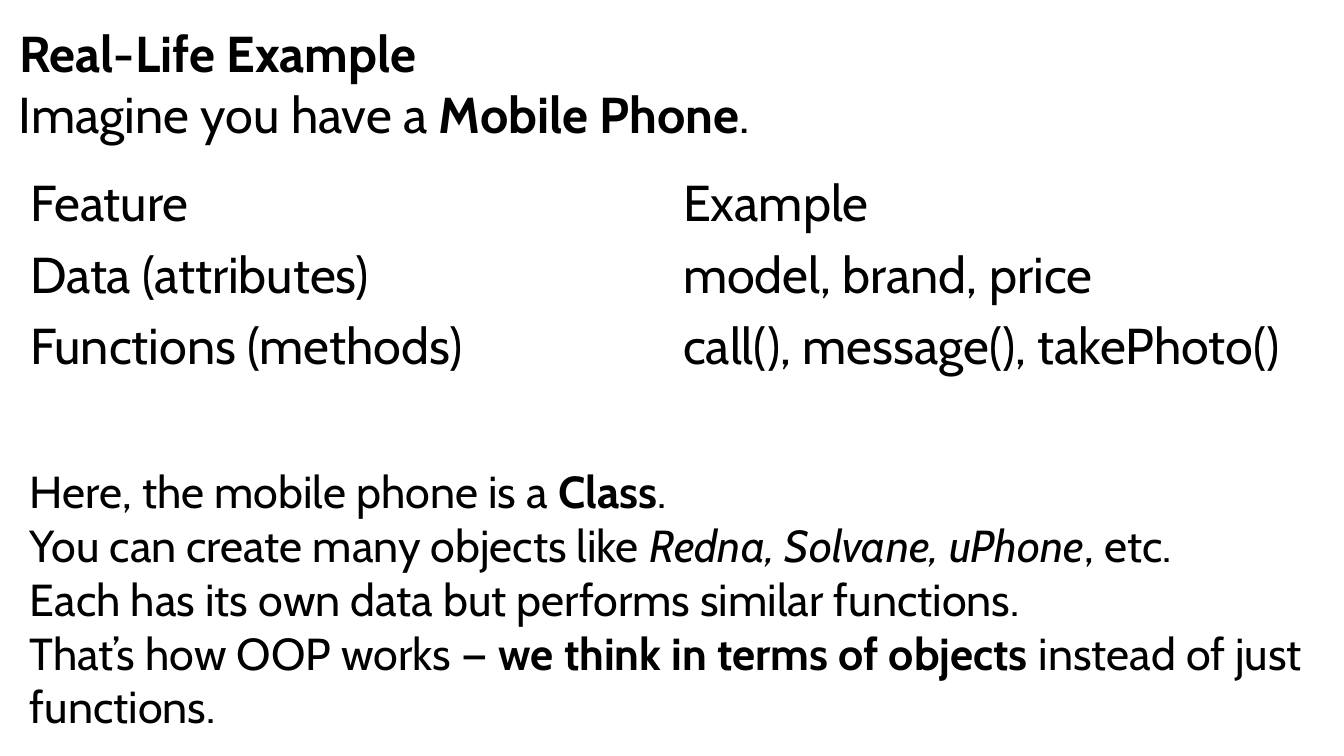
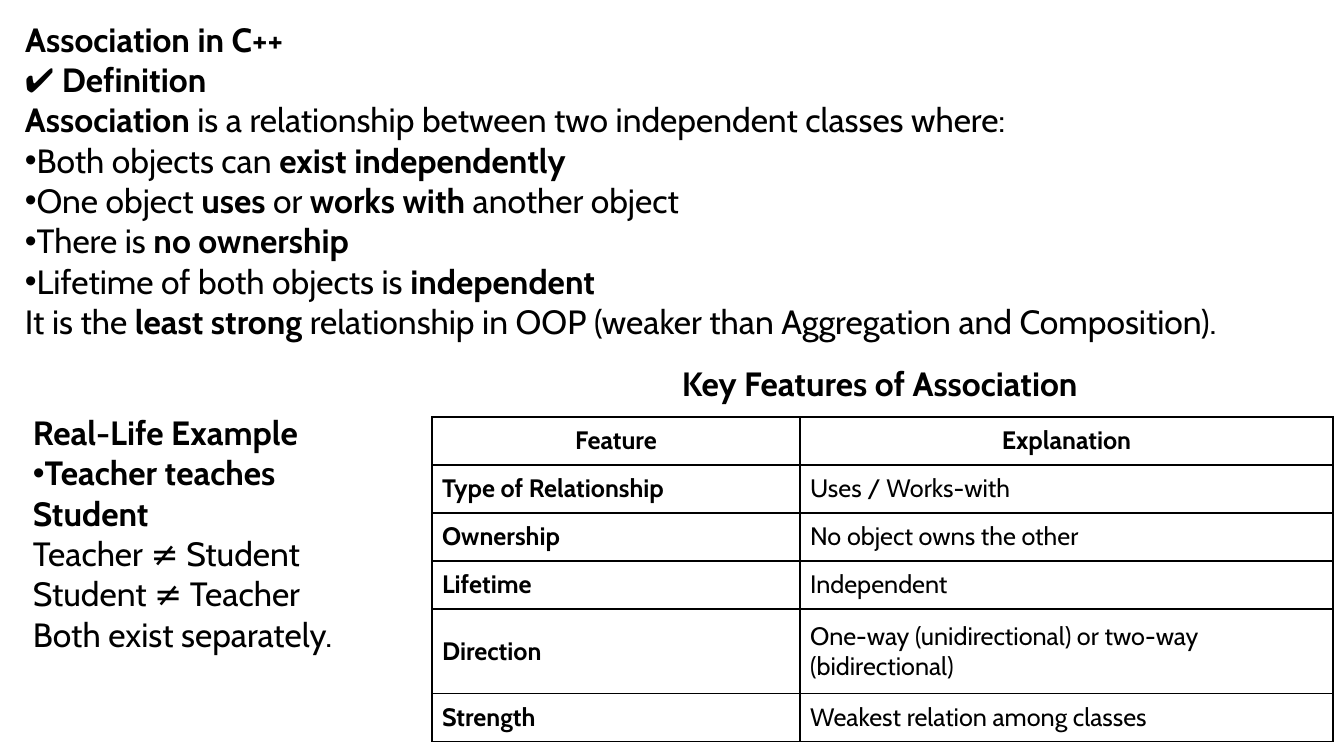
import lxml.etree
import pptx
import pptx.dml.color
import pptx.enum.text
import pptx.oxml.ns
import pptx.util

PX = 914400 / 100.8
BLACK = pptx.dml.color.RGBColor(0, 0, 0)
FONT = "Cabin"
LEFT = pptx.enum.text.PP_ALIGN.LEFT
CENTER = pptx.enum.text.PP_ALIGN.CENTER
qn = pptx.oxml.ns.qn


def px(*lengths):
    return [pptx.util.Emu(round(n * PX)) for n in lengths]


def write(tf, lines, size, align=LEFT):
    """Each line is a list of runs: plain text, or (text, "bold" or "italic").

    A line that starts with • becomes a bulleted paragraph.
    """
    tf.word_wrap = True
    tf.auto_size = pptx.enum.text.MSO_AUTO_SIZE.NONE
    tf.vertical_anchor = pptx.enum.text.MSO_ANCHOR.TOP
    tf.margin_top = tf.margin_bottom = 0
    for i, runs in enumerate(lines):
        p = tf.paragraphs[0] if i == 0 else tf.add_paragraph()
        p.alignment = align
        for run in runs:
            text, style = (run, None) if isinstance(run, str) else run
            if text.startswith("•"):
                pPr = p._p.get_or_add_pPr()
                pPr.set("marL", "0")
                pPr.set("indent", "0")
                lxml.etree.SubElement(pPr, qn("a:buFont")).set("typeface", "Arial")
                lxml.etree.SubElement(pPr, qn("a:buChar")).set("char", "•")
            r = p.add_run()
            r.text = text.lstrip("•")
            look = {"name": FONT, "size": pptx.util.Pt(size),
                    "bold": style == "bold", "italic": style == "italic"}
            for name, value in look.items():
                setattr(r.font, name, value)
            r.font.color.rgb = BLACK


prs = pptx.Presentation()
prs.slide_width, prs.slide_height = px(1344, 756)

slides = [
    {
        "title": ("Real-Life Example", 36, (9, 22, 1318, 61)),
        "texts": [
            ((9, 83, 1318, 61), 36, [
                ["Imagine you have a ", ("Mobile Phone", "bold"), "."],
            ]),
            ((20, 464, 1315, 271), 32, [
                ["Here, the mobile phone is a ", ("Class", "bold"), "."],
                ["You can create many objects like ",
                 ("Redna, Solvane, uPhone", "italic"), ", etc."],
                ["Each has its own data but performs similar functions."],
                ["That’s how OOP works — ", ("we think in terms of objects", "bold"),
                 " instead of just functions."],
            ]),
        ],
        "table": {
            "at": (20, 168), "cols": [653, 653], "rows": [71] * 3,
            "size": 36, "ruled": False,
            "cells": [
                ("Feature", "Example"),
                ("Data (attributes)", "model, brand, price"),
                ("Functions (methods)", "call(), message(), takePhoto()"),
            ],
        },
    },
    {
        "title": ("Association in C++", 24, (15, 19, 1301, 40)),
        "texts": [
            ((15, 59, 1301, 284), 24, [
                [("✔ Definition", "bold")],
                [("Association", "bold"),
                 " is a relationship between two independent classes where:"],
                ["•Both objects can ", ("exist independently", "bold")],
                ["•One object ", ("uses", "bold"), " or ", ("works with", "bold"),
                 " another object"],
                ["•There is ", ("no ownership", "bold")],
                ["•Lifetime of both objects is ", ("independent", "bold")],
                ["It is the ", ("least strong", "bold"),
                 " relationship in OOP (weaker than Aggregation and Composition)."],
            ]),
            ((23, 412, 350, 244), 24, [
                [("Real-Life Example", "bold")],
                [("•Teacher teaches Student", "bold")],
                ["Teacher ≠ Student"],
                ["Student ≠ Teacher"],
                ["Both exist separately."],
            ]),
            ((672, 363, 482, 40), 24, [
                [("Key Features of Association", "bold")],
            ]),
        ],
        "table": {
            "at": (432, 417), "cols": [368, 533], "rows": [48, 48, 48, 48, 85, 48],
            "size": 18, "ruled": True,
            "cells": [
                ("Feature", "Explanation"),
                ("Type of Relationship", "Uses / Works-with"),
                ("Ownership", "No object owns the other"),
                ("Lifetime", "Independent"),
                ("Direction", "One-way (unidirectional) or two-way (bidirectional)"),
                ("Strength", "Weakest relation among classes"),
            ],
        },
    },
]

for content in slides:
    s = prs.slides.add_slide(prs.slide_layouts.get_by_name("Title Only"))
    text, size, box = content["title"]
    title = s.shapes.title
    title.left, title.top, title.width, title.height = px(*box)
    write(title.text_frame, [[(text, "bold")]], size)

    for box, size, lines in content["texts"]:
        write(s.shapes.add_textbox(*px(*box)).text_frame, lines, size)

    grid = content["table"]
    cols, rows, ruled = grid["cols"], grid["rows"], grid["ruled"]
    table = s.shapes.add_table(
        len(rows), len(cols), *px(*grid["at"], sum(cols), sum(rows))).table
    table.first_row = table.horz_banding = False
    for col, width in zip(table.columns, px(*cols)):
        col.width = width
    for row, height in zip(table.rows, px(*rows)):
        row.height = height
    for i, labels in enumerate(grid["cells"]):
        for j, label in enumerate(labels):
            cell = table.cell(i, j)
            header = ruled and i == 0
            style = "bold" if header or (ruled and j == 0) else None
            write(cell.text_frame, [[(label, style)]], grid["size"],
                  CENTER if header else LEFT)
            cell.margin_top, cell.margin_bottom = px(5, 5)
            cell.vertical_anchor = pptx.enum.text.MSO_ANCHOR.MIDDLE
            if ruled:
                tcPr = cell._tc.get_or_add_tcPr()
                for side in ("a:lnL", "a:lnR", "a:lnT", "a:lnB"):
                    ln = lxml.etree.SubElement(tcPr, qn(side), w=str(pptx.util.Pt(1)))
                    fill = lxml.etree.SubElement(ln, qn("a:solidFill"))
                    lxml.etree.SubElement(fill, qn("a:srgbClr"), val=str(BLACK))
            cell.fill.background()

prs.save("out.pptx")
